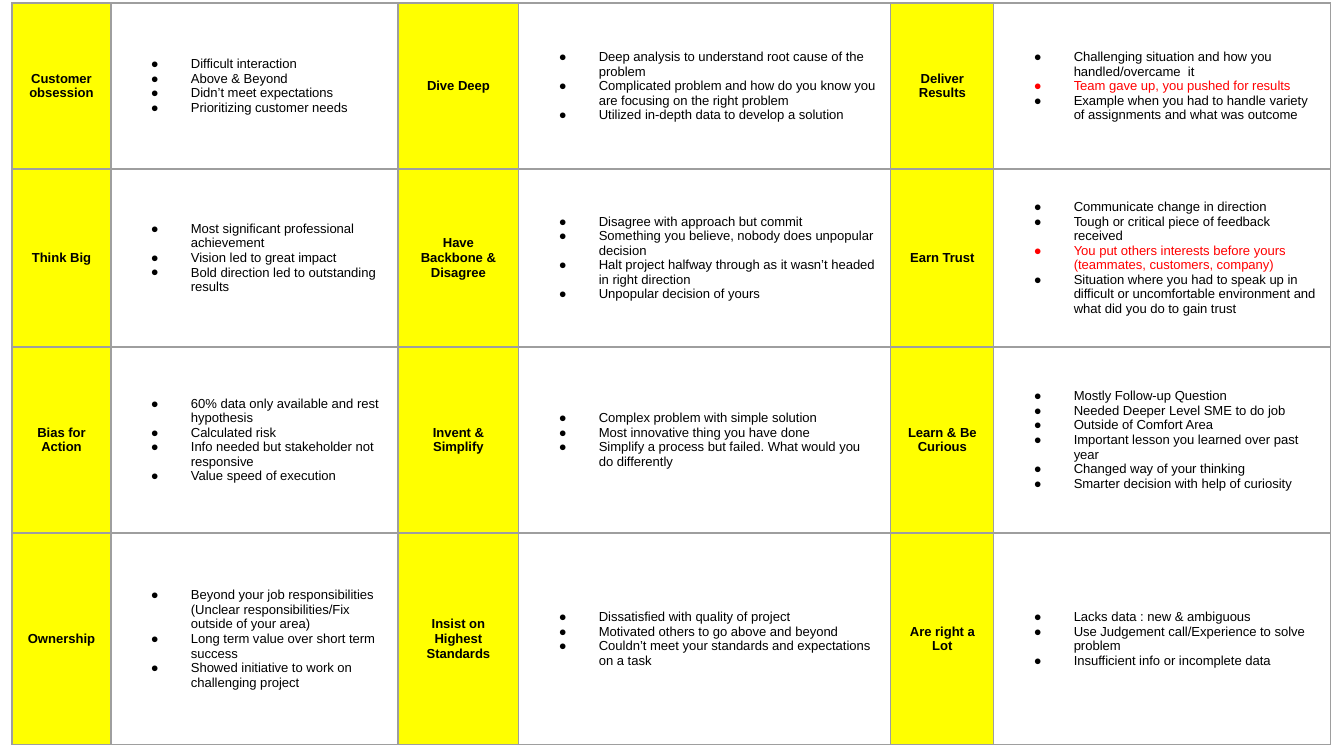
from dataclasses import dataclass

from lxml import etree
from pptx import Presentation
from pptx import util as u
from pptx.dml.color import RGBColor
from pptx.enum import text
from pptx.oxml.ns import qn

EMU_PER_PX = 9144000 / 1344


@dataclass(frozen=True)
class Theme:
    font: str = "Arial"
    size: int = 7
    ink: str = "000000"
    stress: str = "FF0000"
    principle: str = "FFFF00"
    border: str = "9E9E9E"
    border_width: float = 0.75


THEME = Theme()


class Stressed(str):
    pass


COLUMN_WIDTHS = [99, 287, 121, 372, 103, 337]
ROW_HEIGHTS = [166, 178, 186, 212]
INSET = 13
TEXT_INDENT = 67
BULLET_HANG = 40

PRINCIPLES = [
    [
        ("Customer obsession", [
            "Difficult interaction",
            "Above & Beyond",
            "Didn’t meet expectations",
            "Prioritizing customer needs",
        ]),
        ("Dive Deep", [
            "Deep analysis to understand root cause of the problem",
            "Complicated problem and how do you know you are focusing on the right problem",
            "Utilized in-depth data to develop a solution",
        ]),
        ("Deliver Results", [
            "Challenging situation and how you handled/overcame  it",
            Stressed("Team gave up, you pushed for results"),
            "Example when you had to handle variety of assignments and what was outcome",
        ]),
    ],
    [
        ("Think Big", [
            "Most significant professional achievement",
            "Vision led to great impact",
            "Bold direction led to outstanding results",
        ]),
        ("Have Backbone & Disagree", [
            "Disagree with approach but commit",
            "Something you believe, nobody does unpopular decision",
            "Halt project halfway through as it wasn’t headed in right direction",
            "Unpopular decision of yours",
        ]),
        ("Earn Trust", [
            "Communicate change in direction",
            "Tough or critical piece of feedback received",
            Stressed("You put others interests before yours (teammates, customers, company)"),
            "Situation where you had to speak up in difficult or uncomfortable "
            "environment and what did you do to gain trust",
        ]),
    ],
    [
        ("Bias for Action", [
            "60% data only available and rest hypothesis",
            "Calculated risk",
            "Info needed but stakeholder not responsive",
            "Value speed of execution",
        ]),
        ("Invent & Simplify", [
            "Complex problem with simple solution",
            "Most innovative thing you have done",
            "Simplify a process but failed. What would you do differently",
        ]),
        ("Learn & Be Curious", [
            "Mostly Follow-up Question",
            "Needed Deeper Level SME to do job",
            "Outside of Comfort Area",
            "Important lesson you learned over past year",
            "Changed way of your thinking",
            "Smarter decision with help of curiosity",
        ]),
    ],
    [
        ("Ownership", [
            "Beyond your job responsibilities (Unclear responsibilities/Fix outside of your area)",
            "Long term value over short term success",
            "Showed initiative to work on challenging project",
        ]),
        ("Insist on Highest Standards", [
            "Dissatisfied with quality of project",
            "Motivated others to go above and beyond",
            "Couldn’t meet your standards and expectations on a task",
        ]),
        ("Are right a Lot", [
            "Lacks data : new & ambiguous",
            "Use Judgement call/Experience to solve problem",
            "Insufficient info or incomplete data",
        ]),
    ],
]


def px(length):
    return u.Emu(round(length * EMU_PER_PX))


def add_colour(parent, colour):
    etree.SubElement(parent, qn("a:srgbClr"), val=colour)


def style_font(paragraph, colour, bold):
    font = paragraph.font
    font.name = THEME.font
    font.size = u.Pt(THEME.size)
    font.bold = bold
    font.color.rgb = RGBColor.from_string(colour)


def frame_cell(cell):
    cell.margin_left = cell.margin_right = px(INSET)
    cell.margin_top = cell.margin_bottom = px(INSET)
    cell.vertical_anchor = text.MSO_ANCHOR.MIDDLE
    properties = cell._tc.get_or_add_tcPr()
    for side in ("lnL", "lnR", "lnT", "lnB"):
        edge = etree.SubElement(properties, qn(f"a:{side}"), w=str(u.Pt(THEME.border_width)))
        add_colour(etree.SubElement(edge, qn("a:solidFill")), THEME.border)


def add_bullet(paragraph, colour):
    properties = paragraph._p.get_or_add_pPr()
    properties.set("marL", str(px(TEXT_INDENT)))
    properties.set("indent", str(-px(BULLET_HANG)))
    add_colour(etree.SubElement(properties, qn("a:buClr")), colour)
    etree.SubElement(properties, qn("a:buFont"), typeface=THEME.font)
    etree.SubElement(properties, qn("a:buChar"), char="●")


def fill_principle(cell, principle):
    frame_cell(cell)
    cell.fill.solid()
    cell.fill.fore_color.rgb = RGBColor.from_string(THEME.principle)
    heading = cell.text_frame.paragraphs[0]
    heading.text = principle
    heading.alignment = text.PP_ALIGN.CENTER
    style_font(heading, THEME.ink, True)


def fill_prompts(cell, prompts):
    frame_cell(cell)
    cell.fill.background()
    cell.text_frame.text = "\n".join(prompts)
    for paragraph, prompt in zip(cell.text_frame.paragraphs, prompts):
        colour = THEME.stress if isinstance(prompt, Stressed) else THEME.ink
        add_bullet(paragraph, colour)
        style_font(paragraph, colour, False)


def add_principles_table(slide):
    table = slide.shapes.add_table(
        len(ROW_HEIGHTS), len(COLUMN_WIDTHS), px(12), px(3),
        px(sum(COLUMN_WIDTHS)), px(sum(ROW_HEIGHTS)),
    ).table
    table.first_row = table.horz_banding = False
    for column, width in zip(table.columns, COLUMN_WIDTHS):
        column.width = px(width)
    for row, height in zip(table.rows, ROW_HEIGHTS):
        row.height = px(height)
    for row_index, row_principles in enumerate(PRINCIPLES):
        for pair_index, (principle, prompts) in enumerate(row_principles):
            fill_principle(table.cell(row_index, 2 * pair_index), principle)
            fill_prompts(table.cell(row_index, 2 * pair_index + 1), prompts)


def main():
    deck = Presentation()
    deck.slide_width, deck.slide_height = px(1344), px(756)
    slide = deck.slides.add_slide(deck.slide_layouts[6])
    add_principles_table(slide)
    deck.save("out.pptx")


if __name__ == "__main__":
    main()
